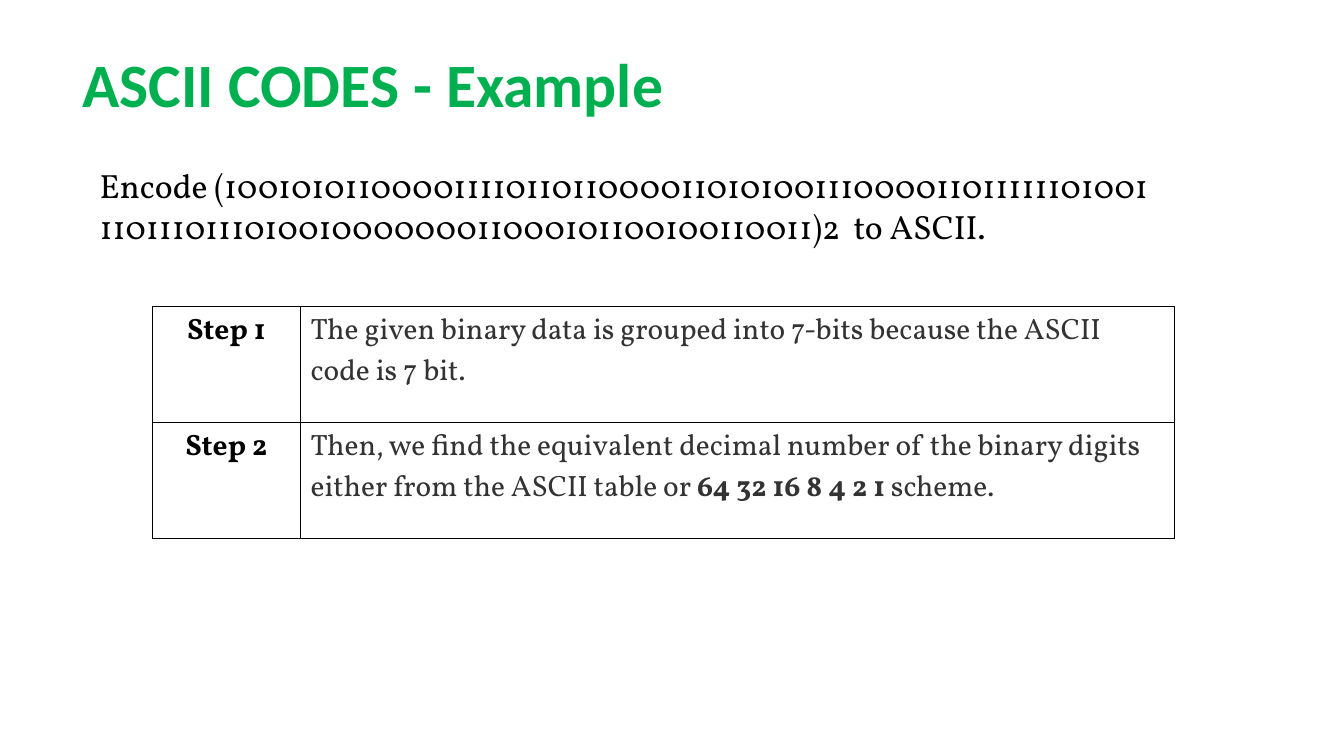
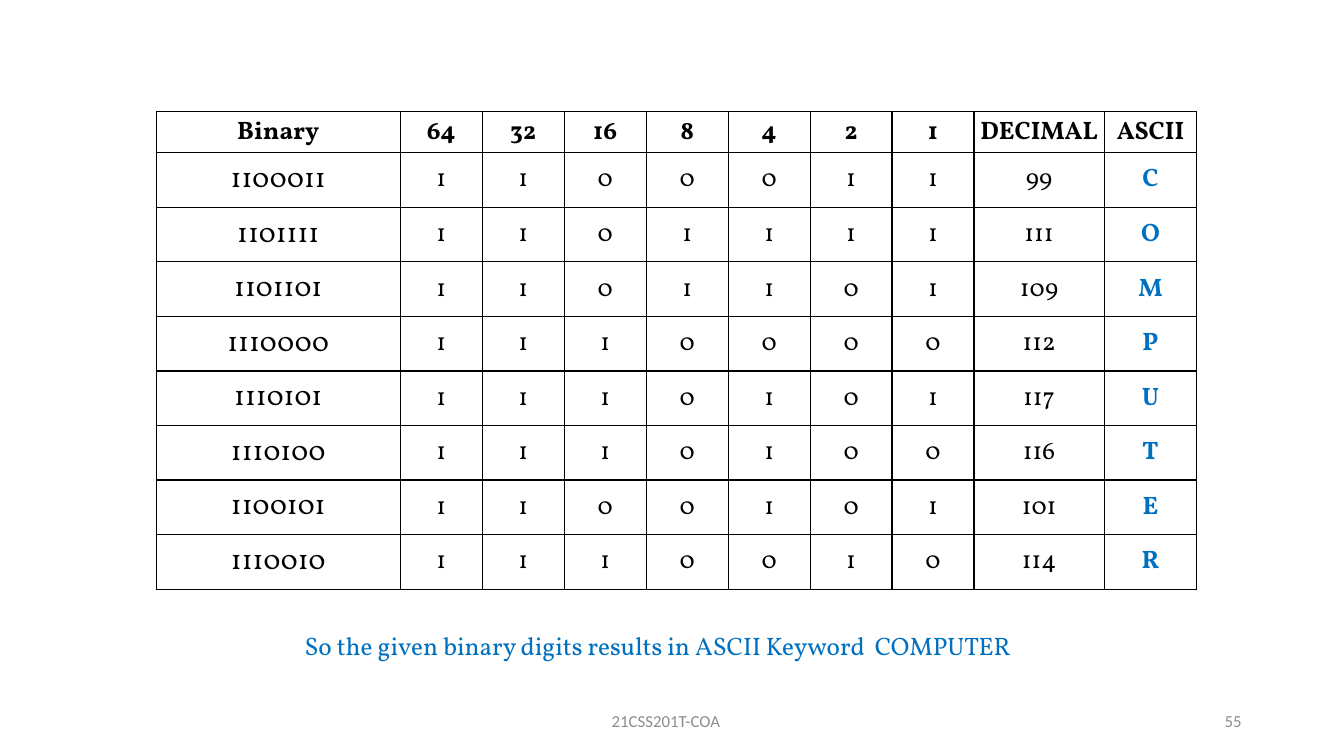
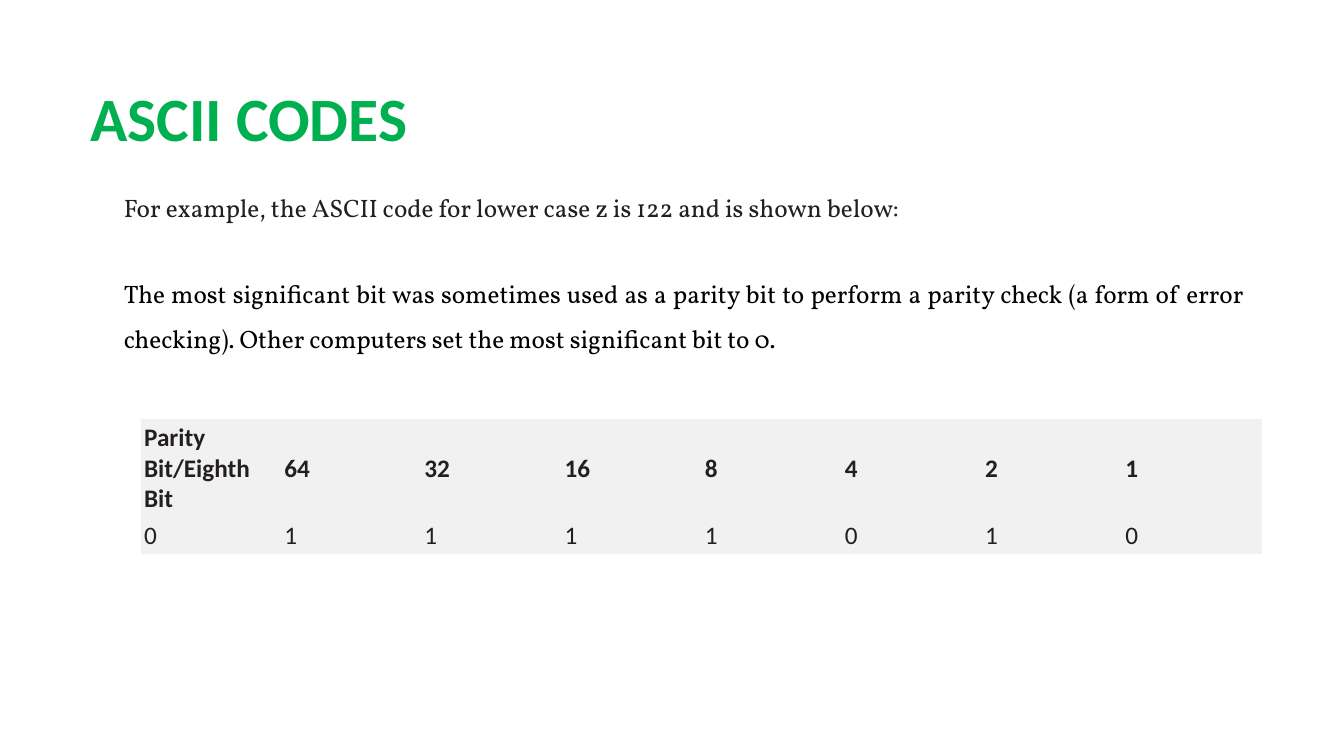
"""Build three slides about encoding binary data as ASCII."""
from lxml import etree
from pptx import Presentation
from pptx import util as u
from pptx.dml.color import RGBColor
from pptx.enum import text
from pptx.oxml import ns

GREEN, BLUE, BLACK, INK, DARK, GREY, PALE = (
    "00B050", "0070C0", "000000", "231F20", "333333", "8C8C8C", "F1F1F1")
LEFT, CENTER, RIGHT, JUSTIFY = (
    text.PP_ALIGN.LEFT, text.PP_ALIGN.CENTER, text.PP_ALIGN.RIGHT, text.PP_ALIGN.JUSTIFY)
MIDDLE = {"vertical_anchor": text.MSO_ANCHOR.MIDDLE}
SIDES = ("margin_left", "margin_top", "margin_right", "margin_bottom")
NO_STYLE = "{2D5ABB26-0587-4C30-8999-92F81FD0307C}"

prs = Presentation()
prs.slide_width, prs.slide_height = u.Inches(13.33), u.Inches(7.5)
col, row = prs.slide_width / 100, prs.slide_height / 100


def style(size, color, name="Vollkorn", bold=False, align=LEFT, spacing=1.0, frame=None):
    """Collect the format values of one kind of text."""
    return {"font": {"size": u.Pt(size), "name": name, "bold": bold}, "color": color,
            "p": {"alignment": align, "line_spacing": spacing}, "frame": frame or {}}


def write(holder, tf, words, fmt):
    """Write words into a frame or cell; parts between bars are bold."""
    p = tf.paragraphs[0]
    for target, part in ((holder, "frame"), (p, "p")):
        for key, value in fmt[part].items():
            setattr(target, key, value)
    for i, piece in enumerate(words.split("|")):
        r = p.add_run()
        r.text = piece
        for key, value in fmt["font"].items():
            setattr(r.font, key, value)
        r.font.bold = fmt["font"]["bold"] or i % 2 == 1
        r.font.color.rgb = RGBColor.from_string(fmt["color"])


title = style(44, GREEN, "Calibri", True, spacing=0.9, frame=MIDDLE)
footer = style(12, GREY, "Calibri", align=CENTER, frame={**MIDDLE, "margin_right": u.Inches(0.22)})
number = style(12, GREY, "Calibri", align=RIGHT, frame=MIDDLE)
step = style(21, BLACK, bold=True, align=CENTER)
detail = style(21, DARK)
tight = {**MIDDLE, **dict.fromkeys(SIDES, u.Inches(0.01)), "margin_bottom": 0}
head = style(18, BLACK, bold=True, align=CENTER, frame=tight)
binary = style(20, BLACK, align=CENTER, frame=tight)
digit = style(18, BLACK, align=CENTER, frame=tight)
letter = style(18, BLUE, bold=True, align=CENTER, frame=tight)
padded = {**MIDDLE, **dict.fromkeys(SIDES, u.Inches(0.03))}
place = style(18, INK, "Calibri", True, frame=padded)
bit = style(18, INK, "Calibri", frame=padded)

weights = [str(2 ** n) for n in range(6, -1, -1)]
steps = [
    [("Step 1", step), ("The given binary data is grouped into 7-bits because the ASCII "
                        "code is 7 bit.", detail)],
    [("Step 2", step), ("Then, we find the equivalent decimal number of the binary digits either "
                        "from the ASCII table or |64 32 16 8 4 2 1| scheme.", detail)],
]
decoded = [[(name, head) for name in ["Binary", *weights, "DECIMAL", "ASCII"]]]
for char in "COMPUTER":
    code = ord(char.lower())
    bits = f"{code:07b}"
    decoded.append([(bits, binary), *((b, digit) for b in bits), (str(code), digit), (char, letter)])
parity = [[(name, place) for name in ["Parity Bit/Eighth Bit", *weights]],
          [(b, bit) for b in f"{ord('z'):08b}"]]

slides = [
    {"texts": [
        ((5.4, 1.87, 88, 19.33), "ASCII CODES - Example", title),
        ((6.68, 21.2, 85.7, 12.13),
         "Encode (10010101100001111011011000011010100111000011011111101001 "
         "110111011101001000000011000101100100110011)2  to ASCII.", style(24, BLACK))],
     "table": (11.33, 40.53, [11.03, 65.03], [15.33] * 2, steps, None, BLACK)},
    {"texts": [
        ((33.13, 92.67, 33.75, 5.33), "21CSS201T-COA", footer),
        ((70.63, 92.67, 22.5, 5.33), "55", number),
        ((19.73, 82.67, 58.43, 5.33),
         "So the given binary digits results in ASCII Keyword  COMPUTER",
         style(18, BLUE, align=CENTER))],
     "table": (11.63, 14.8, [18.15] + [6.1] * 7 + [9.68, 6.9], [5.4] + [7.22] * 8,
               decoded, None, BLACK)},
    {"texts": [
        ((6, 6.4, 88, 19.33), "ASCII CODES", title),
        ((8.48, 24.8, 65.7, 5.33),
         "For example, the ASCII code for lower case z is 122 and is shown below:", style(18, INK)),
        ((8.48, 34.13, 84.83, 12.8),
         "The most significant bit was sometimes used as a parity bit to perform a parity check "
         "(a form of error checking). Other computers set the most significant bit to 0.",
         style(18, BLACK, align=JUSTIFY, spacing=1.5))],
     "table": (10.5, 55.47, [10.43] * 8, [13, 4.8], parity, PALE, None)},
]

for content in slides:
    s = prs.slides.add_slide(prs.slide_layouts[6])
    for (x, y, w, h), words, fmt in content["texts"]:
        sp = s.shapes.add_textbox(int(x * col), int(y * row), int(w * col), int(h * row))
        sp.text_frame.word_wrap = True
        write(sp.text_frame, sp.text_frame, words, fmt)

    x, y, widths, heights, cells, fill, border = content["table"]
    sp = s.shapes.add_table(len(heights), len(widths), int(x * col), int(y * row),
                            int(sum(widths) * col), int(sum(heights) * row))
    tbl = sp.table
    tbl.first_row = tbl.horz_banding = False
    sp._element.find(".//" + ns.qn("a:tableStyleId")).text = NO_STYLE
    for column, w in zip(tbl.columns, widths):
        column.width = int(w * col)
    for line, h, values in zip(tbl.rows, heights, cells):
        line.height = int(h * row)
        for cell, (words, fmt) in zip(line.cells, values):
            write(cell, cell.text_frame, words, fmt)
            tcPr = cell._tc.get_or_add_tcPr()
            for side in ("lnL", "lnR", "lnT", "lnB") if border else ():
                ln = etree.SubElement(tcPr, ns.qn("a:" + side), w=str(u.Pt(1)))
                solid = etree.SubElement(ln, ns.qn("a:solidFill"))
                etree.SubElement(solid, ns.qn("a:srgbClr"), val=border)
            if fill:
                cell.fill.solid()
                cell.fill.fore_color.rgb = RGBColor.from_string(fill)
            else:
                cell.fill.background()

prs.save("out.pptx")
